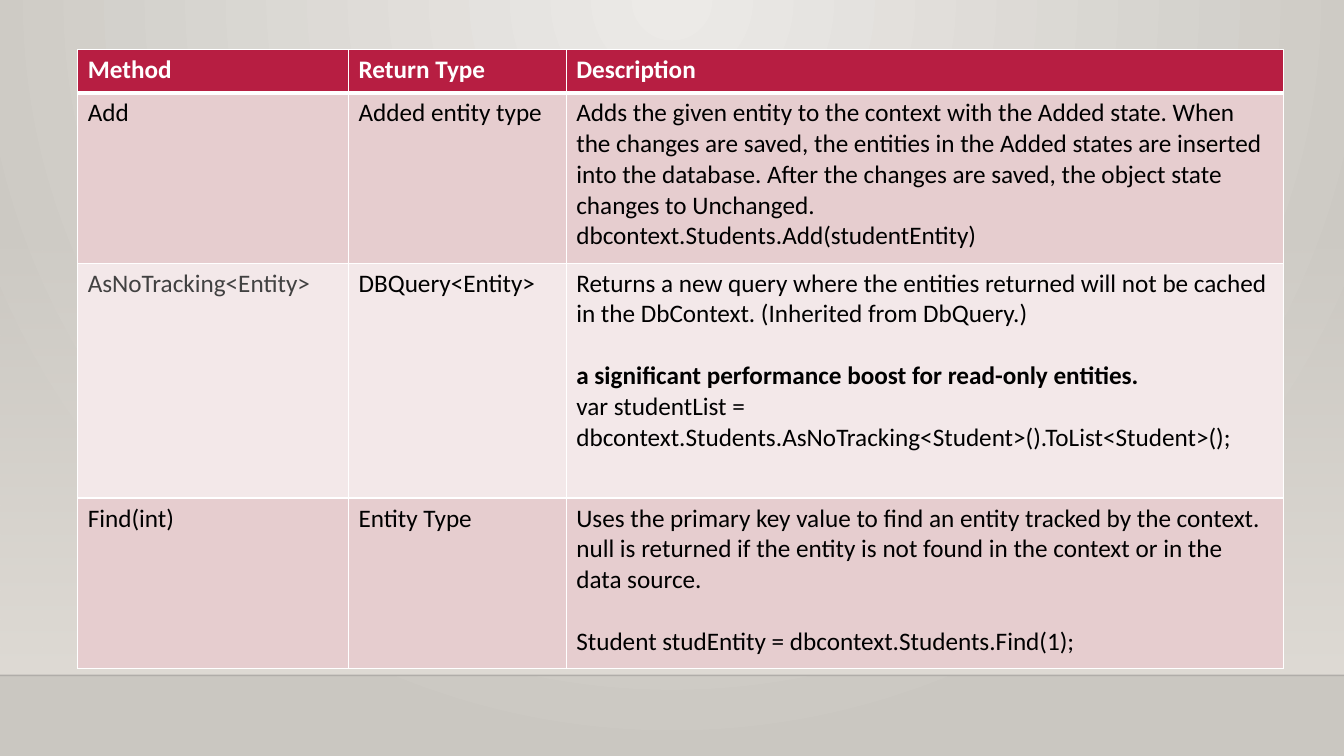
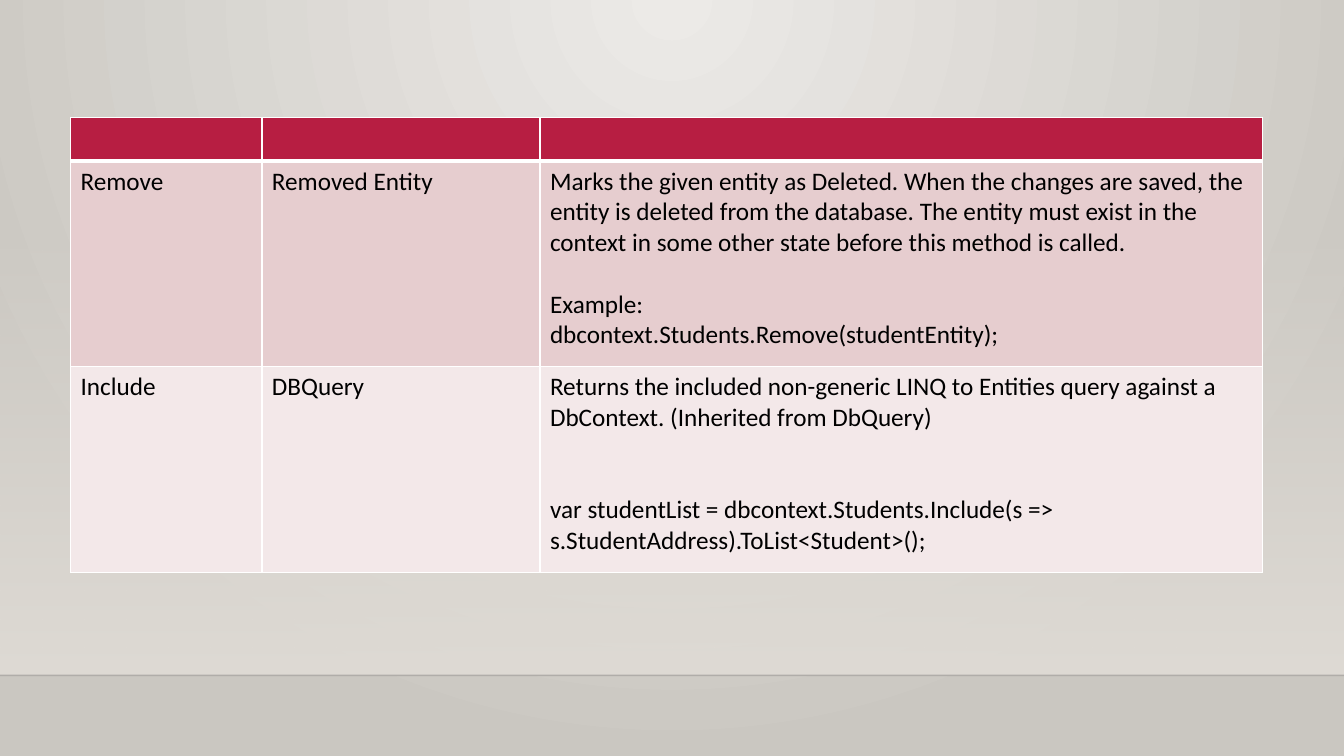
from dataclasses import dataclass

from pptx import Presentation
from pptx.dml.color import RGBColor
from pptx.enum.shapes import MSO_CONNECTOR as Connector, MSO_SHAPE as Preset
from pptx.oxml.ns import qn
from pptx.oxml.xmlchemy import OxmlElement
from pptx.slide import Slide, SlideMaster
from pptx.table import _Cell as Cell
from pptx.util import Pt

COLORS = {
    "glow": "ECEAE7",
    "edge": "CAC7C1",
    "wall": "DFDBD5",
    "line": "000001",
    "border": "FFFFFF",
    "header": "B71E42",
    "band_dark": "E6CDCF",
    "band_light": "F3E8E9",
    "text": "000000",
    "muted": "414141",
    "header_text": "FFFFFF",
}
FONT = "Calibri"
TEXT_SIZE = 18
LINE_HEIGHT = 22
SLIDE_WIDTH, SLIDE_HEIGHT = 960, 540
WALL_TOP, FLOOR_TOP = 159, 482.4
THIN, THICK = 1, 3


@dataclass(frozen=True)
class Line:
    """A paragraph; gap counts the empty lines above it."""
    text: str
    gap: int = 0
    bold: bool = False
    color: str = "text"


@dataclass(frozen=True)
class MethodRow:
    height: float
    method: Line
    returns: Line
    description: tuple[Line, ...]


@dataclass(frozen=True)
class MethodTable:
    left: float
    top: float
    widths: tuple[float, float, float]
    header_height: float
    headings: tuple[str, ...]
    rows: tuple[MethodRow, ...]


TABLES = (
    MethodTable(
        55.5, 35.3, (193.5, 155.5, 512.5), 31,
        ("Method", "Return Type", "Description"),
        (
            MethodRow(121.7, Line("Add"), Line("Added entity type"), (
                Line("Adds the given entity to the context with the Added state. "
                     "When the changes are saved, the entities in the Added states "
                     "are inserted into the database. After the changes are saved, "
                     "the object state changes to Unchanged."),
                Line("dbcontext.Students.Add(studentEntity)"),
            )),
            MethodRow(167.8, Line("AsNoTracking<Entity>", color="muted"),
                      Line("DBQuery<Entity>"), (
                Line("Returns a new query where the entities returned will not be "
                     "cached in the DbContext. (Inherited from DbQuery.)"),
                Line("a significant performance boost for read-only entities.",
                     gap=1, bold=True),
                Line("var studentList = dbcontext.Students.AsNoTracking<Student>()"
                     ".ToList<Student>();"),
            )),
            MethodRow(121.7, Line("Find(int)"), Line("Entity Type"), (
                Line("Uses the primary key value to find an entity tracked by the "
                     "context. null is returned if the entity is not found in the "
                     "context or in the data source."),
                Line("Student studEntity = dbcontext.Students.Find(1);", gap=1),
            )),
        ),
    ),
    MethodTable(
        50.4, 83.7, (136.7, 198.6, 516.2), 31.4, (),
        (
            MethodRow(146.9, Line("Remove"), Line("Removed Entity"), (
                Line("Marks the given entity as Deleted. When the changes are saved, "
                     "the entity is deleted from the database. The entity must exist "
                     "in the context in some other state before this method is "
                     "called."),
                Line("Example:", gap=1),
                Line("dbcontext.Students.Remove(studentEntity);"),
            )),
            MethodRow(146.9, Line("Include"), Line("DBQuery"), (
                Line("Returns the included non-generic LINQ to Entities query against "
                     "a DbContext. (Inherited from DbQuery)"),
                Line("var studentList = dbcontext.Students.Include(s => "
                     "s.StudentAddress).ToList<Student>();", gap=2),
            )),
        ),
    ),
)


def rgb(name: str) -> RGBColor:
    return RGBColor.from_string(COLORS[name])


def set_alpha(color_element, percent: int) -> None:
    alpha = OxmlElement("a:alpha")
    alpha.set("val", str(percent * 1000))
    color_element.append(alpha)


def paint_background(master: SlideMaster) -> None:
    """Fill the master with a glow that spreads from the top centre."""
    fill = master.background.fill
    fill.gradient()
    for stop, name in zip(fill.gradient_stops, ("glow", "edge")):
        stop.color.rgb = rgb(name)
    gradient = master.element.find(".//" + qn("a:gradFill"))
    circle = OxmlElement("a:path")
    circle.set("path", "circle")
    center = OxmlElement("a:fillToRect")
    for side, percent in (("l", 43), ("t", 0), ("r", 43), ("b", 100)):
        center.set(side, str(percent * 1000))
    circle.append(center)
    gradient.replace(gradient.find(qn("a:lin")), circle)


def build_backdrop(master: SlideMaster, slide: Slide) -> None:
    """Draw wall and floor line on the slide, then move them to the master."""
    wall = slide.shapes.add_shape(Preset.RECTANGLE, 0, Pt(WALL_TOP),
                                  Pt(SLIDE_WIDTH), Pt(FLOOR_TOP - WALL_TOP))
    wall.shadow.inherit = False
    wall.line.fill.background()
    wall.fill.gradient()
    wall.fill.gradient_angle = 270
    for stop in wall.fill.gradient_stops:
        stop.color.rgb = rgb("wall")
    set_alpha(wall.element.find(".//" + qn("a:gs"))[0], 0)

    floor_line = slide.shapes.add_connector(
        Connector.STRAIGHT, 0, Pt(FLOOR_TOP), Pt(SLIDE_WIDTH), Pt(FLOOR_TOP))
    floor_line.line.width = Pt(THIN)
    floor_line.line.color.rgb = rgb("line")
    properties = floor_line.element.spPr
    set_alpha(properties.find(".//" + qn("a:srgbClr")), 20)
    properties.append(OxmlElement("a:effectLst"))

    for index, shape in enumerate((wall, floor_line)):
        shape.element.find(".//" + qn("p:cNvPr")).set("id", str(20 + index))
        master.shapes.element.insert(2 + index, shape.element)


def set_borders(cell: Cell, top: float, bottom: float) -> None:
    properties = cell._tc.get_or_add_tcPr()
    widths = {"a:lnL": THIN, "a:lnR": THIN, "a:lnT": top, "a:lnB": bottom}
    for index, (tag, width) in enumerate(widths.items()):
        border = OxmlElement(tag)
        border.set("w", str(Pt(width)))
        fill = OxmlElement("a:solidFill")
        color = OxmlElement("a:srgbClr")
        color.set("val", COLORS["border"])
        fill.append(color)
        border.append(fill)
        properties.insert(index, border)


def write_lines(cell: Cell, lines: tuple[Line, ...]) -> None:
    for index, line in enumerate(lines):
        frame = cell.text_frame
        paragraph = frame.add_paragraph() if index else frame.paragraphs[0]
        if line.gap:
            paragraph.space_before = Pt(line.gap * LINE_HEIGHT)
        run = paragraph.add_run()
        run.text = line.text
        run.font.name = FONT
        run.font.size = Pt(TEXT_SIZE)
        run.font.bold = line.bold
        run.font.color.rgb = rgb(line.color)


def add_method_table(slide: Slide, content: MethodTable) -> None:
    heights = [content.header_height] + [row.height for row in content.rows]
    table = slide.shapes.add_table(
        len(heights), len(content.widths), Pt(content.left), Pt(content.top),
        Pt(sum(content.widths)), Pt(sum(heights))).table
    for column, width in zip(table.columns, content.widths):
        column.width = Pt(width)
    for row, height in zip(table.rows, heights):
        row.height = Pt(height)

    for row_index in range(len(heights)):
        band = ("band_light", "band_dark")[row_index % 2] if row_index else "header"
        for cell in table.rows[row_index].cells:
            cell.fill.solid()
            cell.fill.fore_color.rgb = rgb(band)
            set_borders(cell, THICK if row_index == 1 else THIN,
                        THIN if row_index else THICK)

    for index, heading in enumerate(content.headings):
        write_lines(table.cell(0, index),
                    (Line(heading, bold=True, color="header_text"),))
    for index, row in enumerate(content.rows, start=1):
        texts = ((row.method,), (row.returns,), row.description)
        for column, lines in enumerate(texts):
            write_lines(table.cell(index, column), lines)


def main() -> None:
    presentation = Presentation()
    presentation.slide_width = Pt(SLIDE_WIDTH)
    presentation.slide_height = Pt(SLIDE_HEIGHT)
    master = presentation.slide_master
    blank_layout = presentation.slide_layouts[6]
    slides = [presentation.slides.add_slide(blank_layout) for _ in TABLES]
    paint_background(master)
    build_backdrop(master, slides[0])
    for slide, content in zip(slides, TABLES):
        add_method_table(slide, content)
    presentation.save("out.pptx")


if __name__ == "__main__":
    main()
